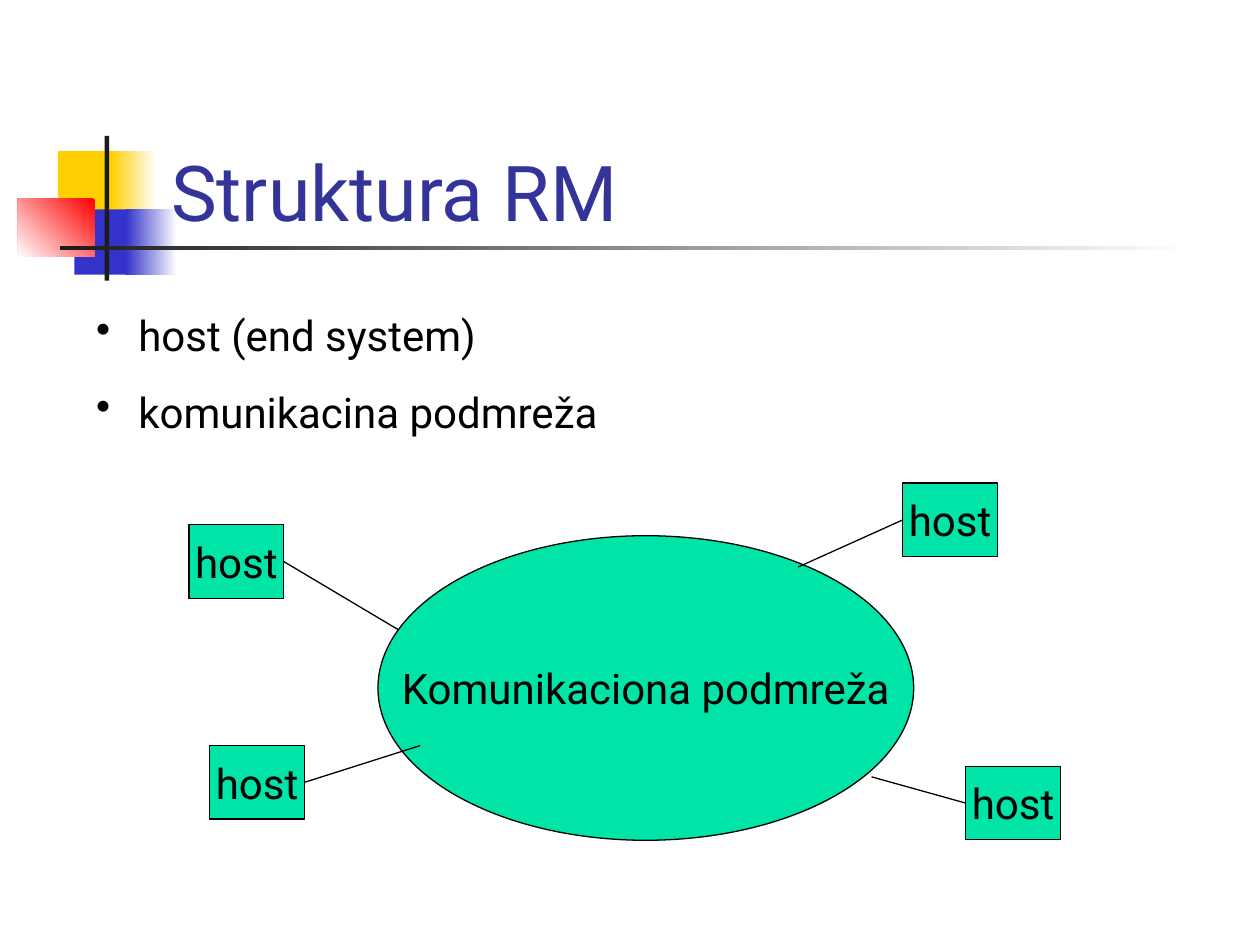
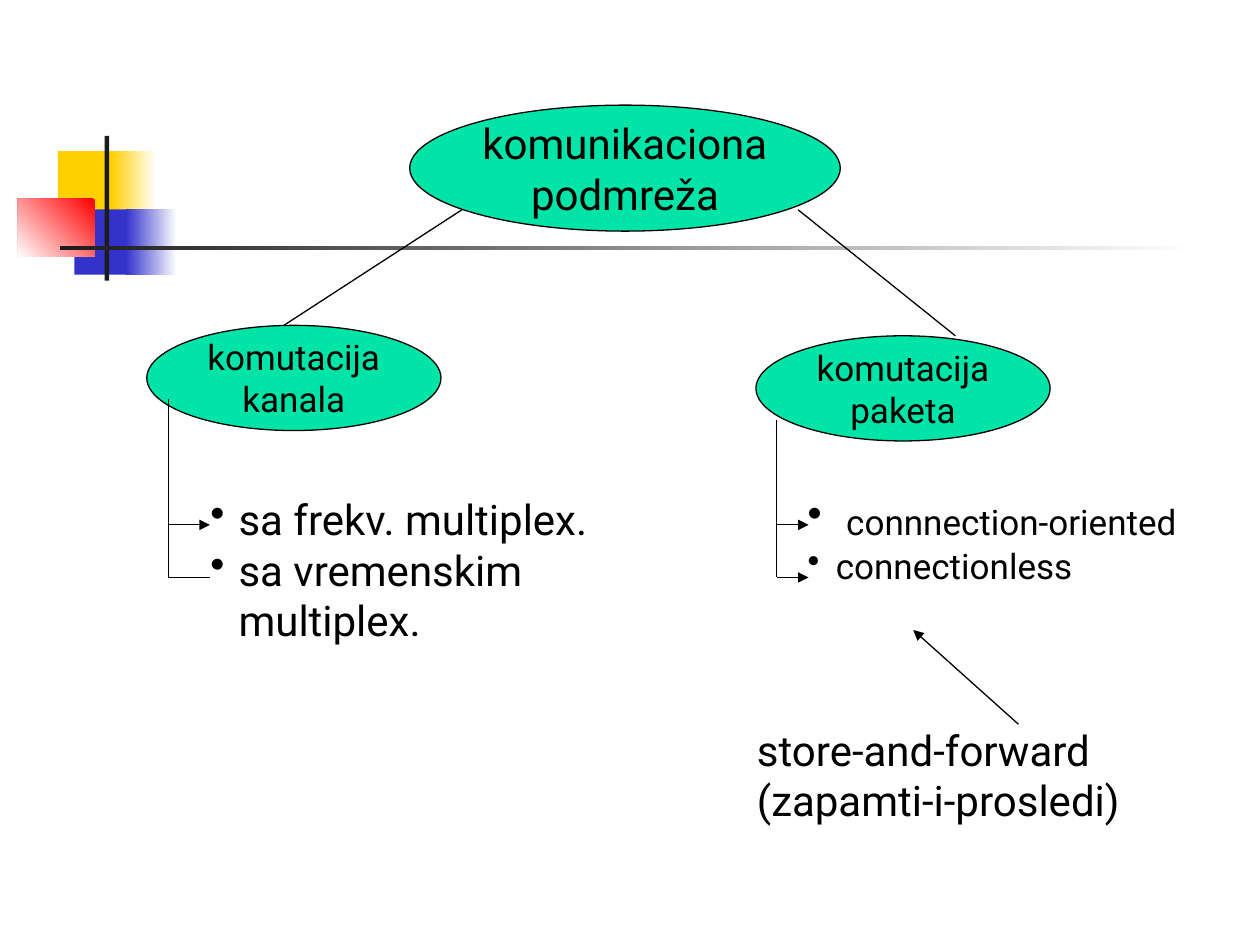
from lxml.etree import SubElement
from pptx import Presentation
from pptx.dml.color import RGBColor
from pptx.enum.shapes import MSO_CONNECTOR, MSO_SHAPE
from pptx.enum.text import MSO_ANCHOR, PP_ALIGN
from pptx.oxml.ns import qn
from pptx.util import Cm, Pt


class Theme:
    font = "Roboto"
    title, body, small = Pt(44), Pt(24), Pt(20)
    rule = Pt(0.75)
    ink = RGBColor.from_string("000000")
    head = RGBColor.from_string("333399")
    node = RGBColor.from_string("00E4A8")
    white = RGBColor.from_string("FFFFFF")
    gold = RGBColor.from_string("FFCF01")
    blue = RGBColor.from_string("3333CC")
    red = RGBColor.from_string("FF0000")
    dark = RGBColor.from_string("1C1C1C")


def write(frame, lines, size, color=Theme.ink, align=PP_ALIGN.LEFT, hang=None, gap=0):
    """Fill frame with one paragraph per line; hang = (margin, bullet offset) adds bullets."""
    for i, line in enumerate(lines):
        para = frame.add_paragraph() if i else frame.paragraphs[0]
        para.text = line
        para.alignment = align
        para.space_before = Pt(gap)
        if hang:
            props = para._p.get_or_add_pPr()
            props.set("marL", str(Cm(hang[0])))
            props.set("indent", str(Cm(-hang[1])))
            tint = SubElement(props, qn("a:buClr"))
            SubElement(tint, qn("a:srgbClr")).set("val", str(Theme.ink))
            SubElement(props, qn("a:buChar")).set("char", "•")
        para.font.name = Theme.font
        para.font.size = size
        para.font.color.rgb = color


def link(slide, start, end, arrow=False):
    line = slide.shapes.add_connector(
        MSO_CONNECTOR.STRAIGHT, *(Cm(v) for v in (*start, *end)))
    line.line.color.rgb = Theme.ink
    line.line.width = Theme.rule
    if arrow:
        SubElement(line.line._get_or_add_ln(), qn("a:tailEnd")).set("type", "triangle")
    SubElement(line._element.spPr, qn("a:effectLst"))
    return line


deck = Presentation()
deck.slide_width, deck.slide_height = Cm(25.4), Cm(19.05)
blank = deck.slide_layouts[6]
for holder in list(blank.placeholders):
    blank.shapes.element.remove(holder.element)
hosts, tree = (deck.slides.add_slide(blank) for _ in range(2))

# Shared band, kept on the layout: box, gradient stops (or one colour), angle
band = [
    ((1.17, 3.05, 1.22, 1.32), [Theme.gold], 0),
    ((2.24, 3.05, 0.91, 1.32), [Theme.white, Theme.gold], 180),
    ((1.5, 4.22, 1.17, 1.32), [Theme.blue], 0),
    ((2.54, 4.22, 1.02, 1.32), [Theme.white, Theme.blue], 180),
    ((0.36, 4.01, 1.55, 1.17), [Theme.red, Theme.white], 225),
    ((2.11, 2.74, 0.09, 2.92), [Theme.dark], 0),
    ((1.22, 4.95, 22.86, 0.09), [Theme.white, Theme.dark], 180),
]
for box, tones, angle in band:
    block = hosts.shapes.add_shape(MSO_SHAPE.RECTANGLE, *map(Cm, box))
    block.shadow.inherit = False
    block.line.fill.background()
    if len(tones) == 1:
        block.fill.solid()
        block.fill.fore_color.rgb = tones[0]
    else:
        block.fill.gradient()
        block.fill.gradient_angle = angle
        for stop, tone in zip(block.fill.gradient_stops, tones):
            stop.color.rgb = tone
    blank.shapes.element.append(block.element)

# Title
title = hosts.shapes.add_textbox(Cm(3.2), Cm(1.73), Cm(21.64), Cm(3.18)).text_frame
title.word_wrap = True
title.vertical_anchor = MSO_ANCHOR.BOTTOM
write(title, ["Struktura RM"], Theme.title, Theme.head)

# Green nodes of both slides
oval, rect = MSO_SHAPE.OVAL, MSO_SHAPE.RECTANGLE
spots = [(3.81, 10.58), (4.23, 15.03), (19.47, 15.45), (18.2, 9.74)]
nodes = [
    (hosts, oval, (7.62, 10.8, 10.8, 6.14), ["Komunikaciona podmreža"], Theme.body),
    *((hosts, rect, (*spot, 1.91, 1.48), ["host"], Theme.body) for spot in spots),
    (tree, oval, (8.26, 2.12, 8.68, 2.54), ["komunikaciona", "podmreža"], Theme.body),
    (tree, oval, (2.96, 6.56, 5.93, 2.12), ["komutacija", "kanala"], Theme.small),
    (tree, oval, (15.24, 6.77, 5.93, 2.12), ["komutacija", "paketa"], Theme.small),
]
boxes = []
for slide, kind, box, lines, size in nodes:
    node = slide.shapes.add_shape(kind, *map(Cm, box))
    node.shadow.inherit = False
    node.fill.solid()
    node.fill.fore_color.rgb = Theme.node
    node.line.color.rgb = Theme.ink
    node.line.width = Theme.rule
    node.text_frame.word_wrap = False
    node.text_frame.vertical_anchor = MSO_ANCHOR.MIDDLE
    write(node.text_frame, lines, size, align=PP_ALIGN.CENTER)
    if kind == rect:
        boxes.append(node)

# Each host joins the subnet from the side that faces it
ends = [(8.04, 12.7), (8.47, 15.03), (17.57, 15.66), (16.09, 11.43)]
for box, spot, end, side in zip(boxes, spots, ends, (3, 3, 1, 1)):
    link(hosts, spot, end).begin_connect(box, side)

# Tree branches, then a stem with two twigs under each lower node
link(tree, (9.31, 4.23), (5.72, 6.56))
link(tree, (16.09, 4.23), (19.26, 6.77))
for x, top, tip, low in ((3.39, 8.04, 4.23, False), (15.66, 8.47, 16.3, True)):
    link(tree, (x, top), (x, 11.64))
    link(tree, (x, 11.64), (tip, 11.64), low)
    link(tree, (x, 10.58), (tip, 10.58), True)
link(tree, (20.53, 14.6), (18.41, 12.7), True)

# Running text: slide, box, lines, size, bullet hang, gap before
notes = [
    (hosts, (1.06, 6.12, 20.75, 2.82), [" host (end system)", " komunikacina podmreža"],
     Theme.body, (1.27, 0.64), 15),
    (tree, (3.99, 9.83, 9.58, 3.3), ["sa frekv. multiplex.", "sa vremenskim multiplex."],
     Theme.body, (0.57, 0.57), 0),
    (tree, (15.01, 14.48, 8.18, 2.29), ["store-and-forward", "(zapamti-i-prosledi)"],
     Theme.body, None, 0),
    (tree, (16.03, 9.83, 8.2, 2.13), [" ", "connectionless"],
     Theme.small, (0.57, 0.57), 0),
]
for slide, box, lines, size, hang, gap in notes:
    frame = slide.shapes.add_textbox(*map(Cm, box)).text_frame
    frame.word_wrap = True
    write(frame, lines, size, hang=hang, gap=gap)

# The first connection type has a larger bullet, set by its leading run
first = frame.paragraphs[0]
first.runs[0].font.size = Theme.body
first.add_run().text = "connnection-oriented"

deck.save("out.pptx")
